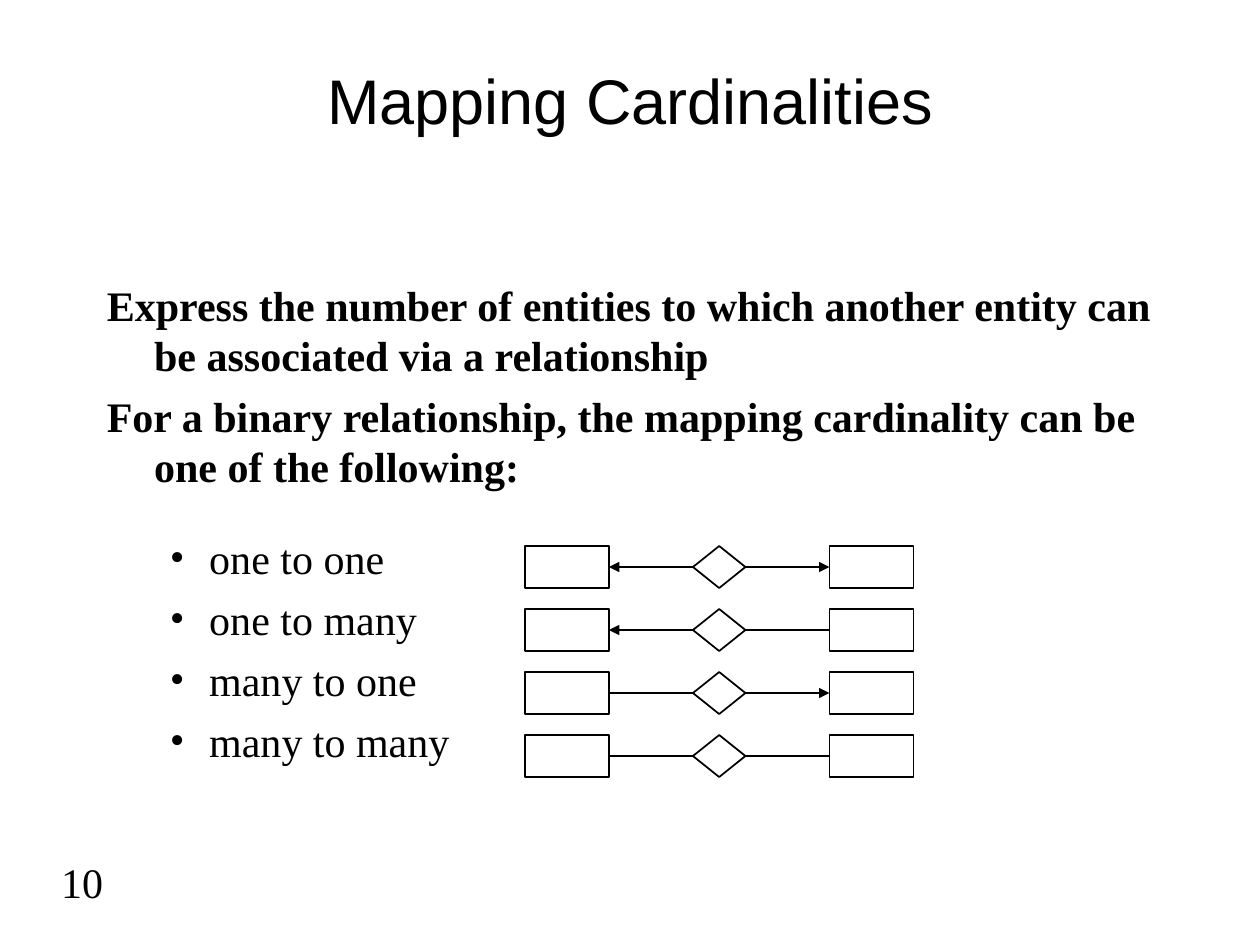
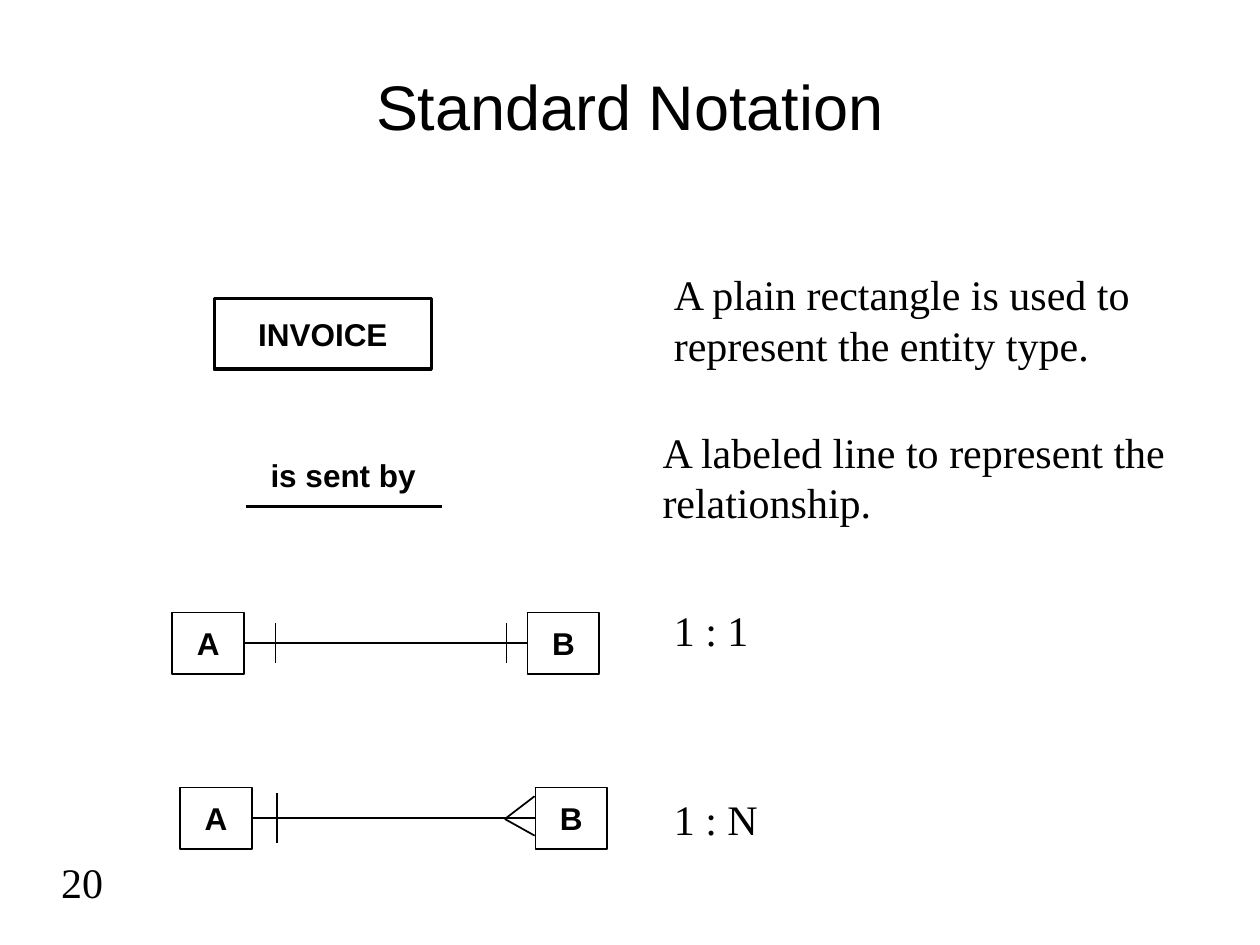
from dataclasses import dataclass

from lxml.etree import SubElement
from pptx import Presentation
from pptx.dml.color import RGBColor
from pptx.enum.shapes import MSO_CONNECTOR, MSO_SHAPE
from pptx.enum.text import MSO_ANCHOR, PP_ALIGN
from pptx.oxml.ns import qn
from pptx.util import Pt

LEFT, RIGHT = 1, 3


@dataclass(frozen=True)
class Theme:
    ink: RGBColor = RGBColor(0x00, 0x00, 0x00)
    paper: RGBColor = RGBColor(0xFF, 0xFF, 0xFF)
    sans: str = "Arial"
    serif: str = "Times New Roman"
    title_size: int = 36
    body_size: int = 24
    label_size: int = 18
    thin: int = 1
    thick: int = 2

    def font(self, name, size, bold=False):
        return {"name": name, "size": Pt(size), "bold": bold}

    @property
    def title(self):
        return self.font(self.sans, self.title_size)

    @property
    def body(self):
        return self.font(self.serif, self.body_size)

    @property
    def strong(self):
        return self.font(self.serif, self.body_size, True)

    @property
    def label(self):
        return self.font(self.sans, self.label_size, True)


class SlideBuilder:
    def __init__(self, theme):
        self.theme = theme
        self.deck = Presentation()
        self.deck.slide_width, self.deck.slide_height = Pt(720), Pt(540)
        self.slide = None

    def start_slide(self, title, title_area, number):
        self.slide = self.deck.slides.add_slide(self.deck.slide_layouts[6])
        self.text(title_area, title, self.theme.title,
                  align=PP_ALIGN.CENTER, anchor=MSO_ANCHOR.MIDDLE)
        self.text((12, 486, 54, 36), number, self.theme.body, align=PP_ALIGN.RIGHT)

    def paragraph(self, para, words, font, align=PP_ALIGN.LEFT, before=0,
                  indent=None, bullet=False):
        """Write one paragraph; indent is (left margin, first line)."""
        para.text = words
        para.alignment = align
        para.space_before = Pt(before)
        if indent:
            properties = para._p.get_or_add_pPr()
            for name, value in zip(("marL", "indent"), indent):
                properties.set(name, str(Pt(value)))
            if bullet:
                SubElement(properties, qn("a:buFont"), typeface=self.theme.serif)
                SubElement(properties, qn("a:buChar"), char="•")
        for name, value in font.items():
            setattr(para.font, name, value)
        para.font.color.rgb = self.theme.ink

    def text(self, area, words, font, align=PP_ALIGN.LEFT, anchor=MSO_ANCHOR.TOP):
        box = self.slide.shapes.add_textbox(*map(Pt, area))
        frame = box.text_frame
        frame.word_wrap = True
        frame.vertical_anchor = anchor
        self.paragraph(frame.paragraphs[0], words, font, align)
        return frame

    def shape(self, kind, area, words="", width=None):
        shape = self.slide.shapes.add_shape(kind, *map(Pt, area))
        shape.shadow.inherit = False
        shape.fill.solid()
        shape.fill.fore_color.rgb = self.theme.paper
        shape.line.color.rgb = self.theme.ink
        shape.line.width = Pt(width or self.theme.thin)
        if words:
            frame = shape.text_frame
            frame.word_wrap = False
            frame.vertical_anchor = MSO_ANCHOR.MIDDLE
            self.paragraph(frame.paragraphs[0], words, self.theme.label,
                           PP_ALIGN.CENTER)
        return shape

    def line(self, start=(0, 0), end=(0, 0), width=None):
        line = self.slide.shapes.add_connector(
            MSO_CONNECTOR.STRAIGHT, *map(Pt, (*start, *end)))
        line.line.color.rgb = self.theme.ink
        line.line.width = Pt(width or self.theme.thin)
        SubElement(line.element.spPr, qn("a:effectLst"))
        return line

    def join(self, left_box, right_box, arrows=()):
        """Connect facing sides; arrows may hold headEnd (left) and tailEnd (right)."""
        line = self.line()
        line.begin_connect(left_box, RIGHT)
        line.end_connect(right_box, LEFT)
        outline = line.element.spPr.find(qn("a:ln"))
        for end in arrows:
            SubElement(outline, qn(f"a:{end}"), type="triangle")


def mapping_cardinalities(builder):
    theme = builder.theme
    builder.start_slide("Mapping Cardinalities", (54, 24, 612, 66), "10")

    # Statements and the list of cardinalities
    hanging = {"indent": (27, -27)}
    frame = builder.text((54, 156, 612, 324), "", theme.strong)
    builder.paragraph(
        frame.paragraphs[0],
        "Express the number of entities to which another entity can be "
        "associated via a relationship", theme.strong, **hanging)
    builder.paragraph(
        frame.add_paragraph(),
        "For a binary relationship, the mapping cardinality can be one of "
        "the following:", theme.strong, before=6, **hanging)
    cardinalities = {
        "one to one": ("headEnd", "tailEnd"),
        "one to many": ("headEnd",),
        "many to one": ("tailEnd",),
        "many to many": (),
    }
    for row, (name, arrows) in enumerate(cardinalities.items()):
        para = frame.add_paragraph()
        para.level = 1
        builder.paragraph(para, name, theme.body, before=6 if row else 23.5,
                          indent=(58.5, -22.5), bullet=True)

        # Entity, relationship, entity
        top = 312 + 36 * row
        entities = [builder.shape(MSO_SHAPE.RECTANGLE, (left, top, 48, 24))
                    for left in (300, 474)]
        builder.join(*entities, arrows)
        builder.shape(MSO_SHAPE.DIAMOND, (396, top, 30, 24))


def standard_notation(builder):
    theme = builder.theme
    builder.start_slide("Standard Notation", (36, 24, 648, 72), "20")

    # Entity type
    builder.shape(MSO_SHAPE.RECTANGLE, (122.5, 170.5, 124, 40.5), "INVOICE",
                  theme.thick)

    # Labeled relationship
    builder.line((140.5, 289.5), (252.5, 289.5), theme.thick)
    builder.text((147.5, 257, 110, 29), "is sent by", theme.label)

    # Entity pairs: left, top, bar positions, half height of the bars
    pairs = [(98.5, 350, (157.5, 289.5), 11.5), (103, 450, (158.5,), 14.5)]
    for left, top, bars, reach in pairs:
        entities = [builder.shape(MSO_SHAPE.RECTANGLE, (x, top, 41, 35), name)
                    for x, name in ((left, "A"), (left + 203, "B"))]
        builder.join(*entities)
        middle = top + 17.5
        for x in bars:
            builder.line((x, middle - reach), (x, middle + reach))

    # Crow's foot on the many side
    for y in (455, 477.5):
        builder.line((288.5, 468), (305.5, y))

    # Explanations
    explanations = [
        ((378, 150, 282, 65),
         "A plain rectangle is used to represent the entity type."),
        ((371.5, 240, 309, 65),
         "A labeled line to represent the relationship."),
        ((378, 342, 72, 36), "1 : 1"),
        ((378, 450, 72, 36), "1 : N"),
    ]
    for area, words in explanations:
        builder.text(area, words, theme.body)


def main():
    builder = SlideBuilder(Theme())
    mapping_cardinalities(builder)
    standard_notation(builder)
    builder.deck.save("out.pptx")


if __name__ == "__main__":
    main()
